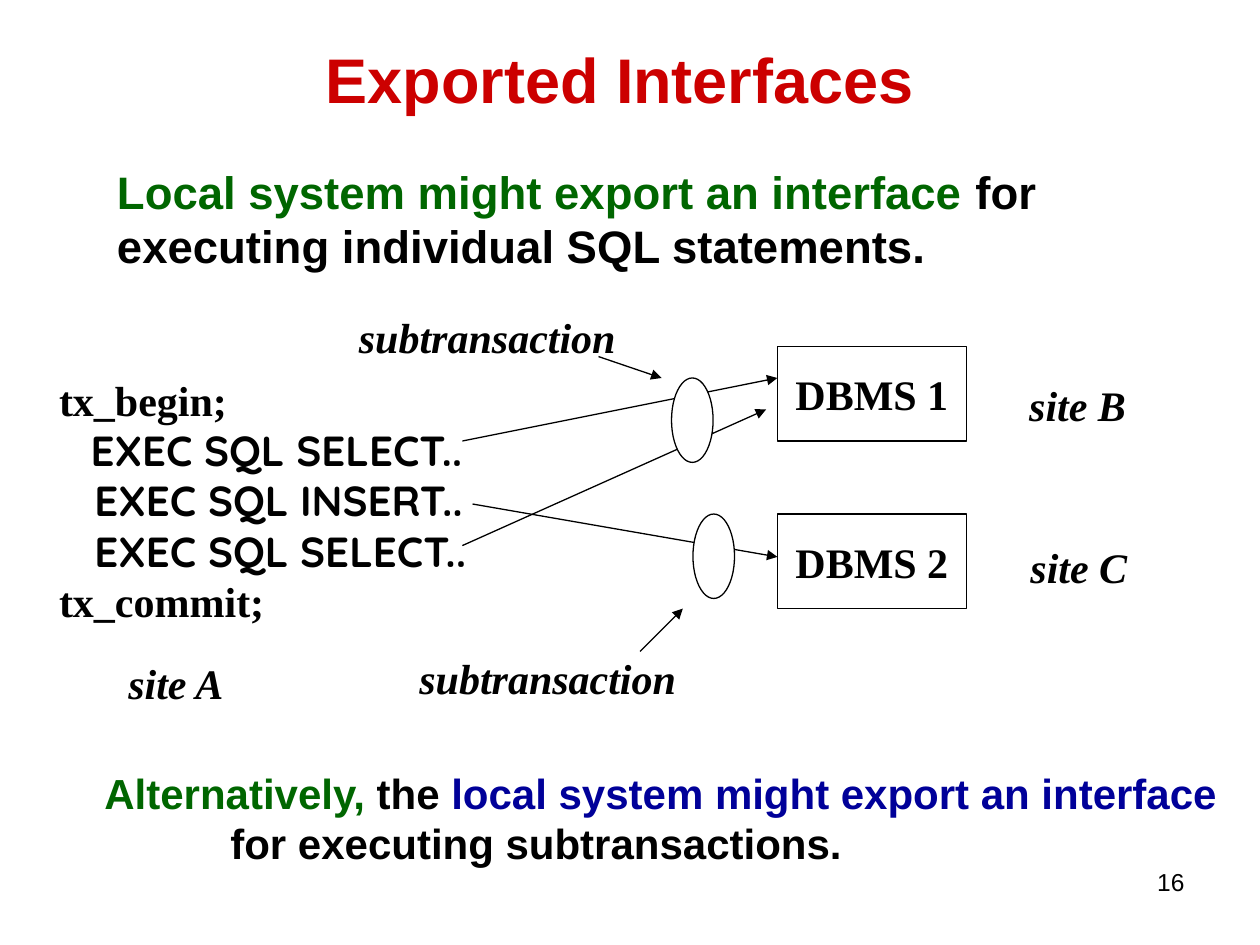
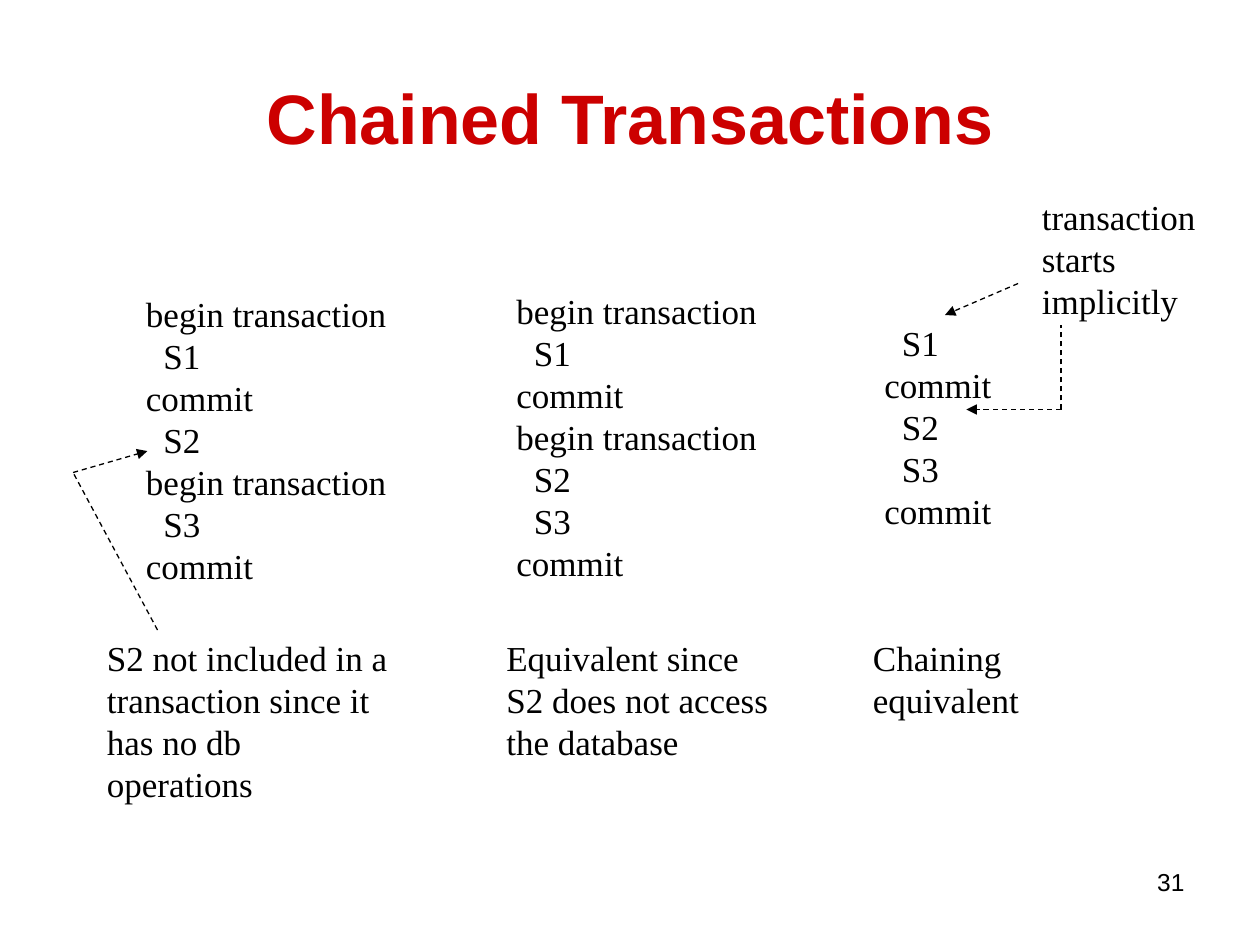
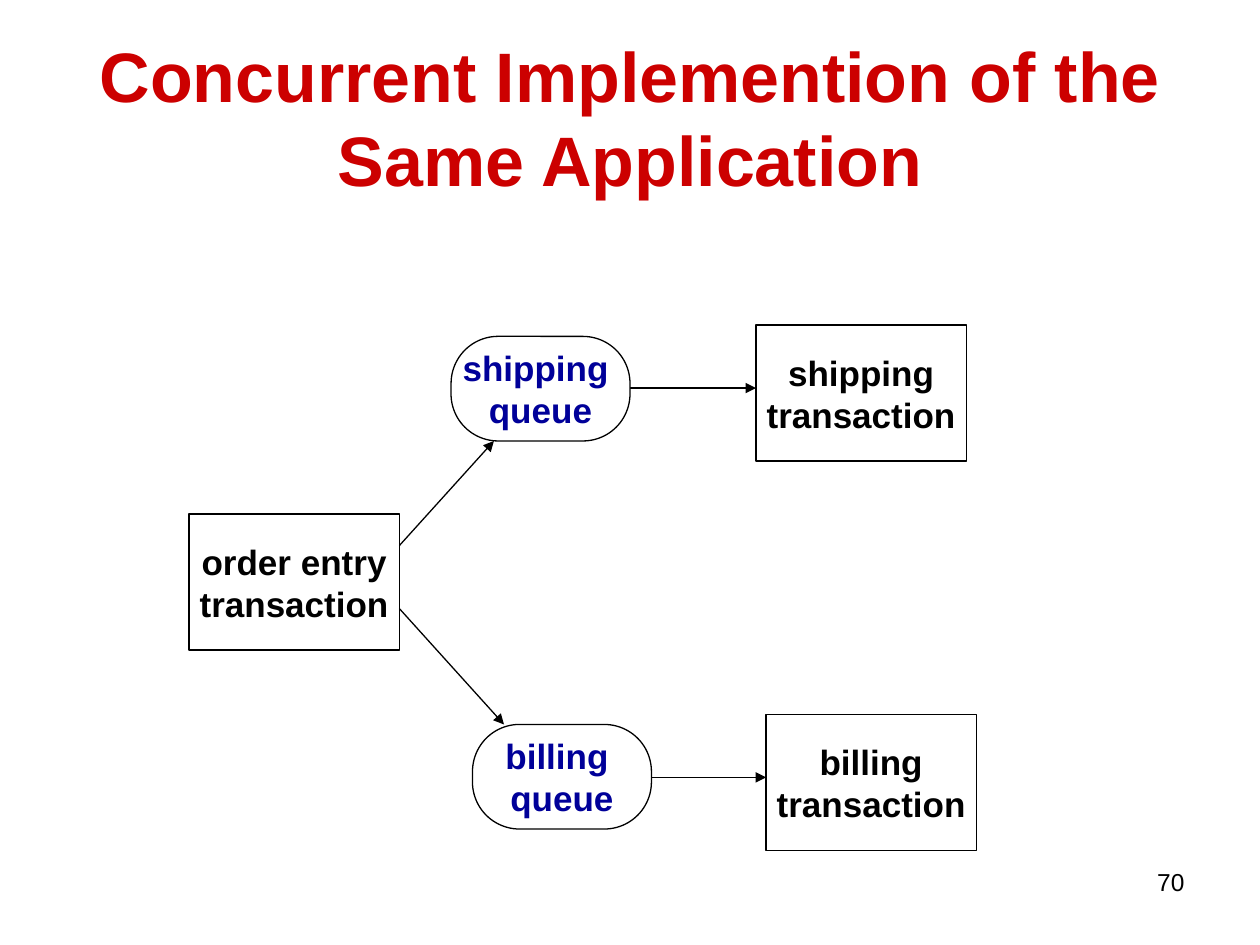
import pptx
import pptx.util
import pptx.dml.color
import pptx.enum.dml
import pptx.enum.shapes
import pptx.enum.text
import pptx.oxml.ns
import lxml.etree

Inches = pptx.util.Inches
Shape = pptx.enum.shapes.MSO_SHAPE
Align = pptx.enum.text.PP_ALIGN
Fit = pptx.enum.text.MSO_AUTO_SIZE
Anchor = pptx.enum.text.MSO_ANCHOR

COLORS = {
    "title": "CC0000",
    "text": "000000",
    "green": "006600",
    "blue": "000099",
    "fill": "FFFFFF",
}
SANS = "Arial"
SERIF = "Times New Roman"
ROUND = "Quicksand"
THIN = pptx.util.Pt(0.75)


def tint(name):
    return pptx.dml.color.RGBColor.from_string(COLORS[name])


def style(font, face, size, color="text", bold=False, slant=False):
    font.name = face
    font.size = pptx.util.Pt(size)
    font.bold = bold
    font.italic = slant
    font.color.rgb = tint(color)


def write(frame, lines, face, size, align=Align.LEFT, **look):
    for num, line in enumerate(lines):
        par = frame.paragraphs[0] if num == 0 else frame.add_paragraph()
        par.alignment = align
        style(par.font, face, size, **look)
        parts = [(line, {})] if isinstance(line, str) else line
        for words, change in parts:
            run = par.add_run()
            run.text = words
            if "color" in change:
                run.font.color.rgb = tint(change["color"])
            if "face" in change:
                run.font.name = change["face"]


def add_text(slide, place, lines, face=SERIF, size=20, wrap=False, **look):
    frame = slide.shapes.add_textbox(*map(Inches, place)).text_frame
    frame.word_wrap = wrap
    frame.auto_size = Fit.NONE if wrap else Fit.SHAPE_TO_FIT_TEXT
    write(frame, lines, face, size, **look)
    return frame


def add_slide(deck, title, page, place=(0.5, 0.3, 9, 1.25), size=40):
    slide = deck.slides.add_slide(deck.slide_layouts[5])
    head = slide.shapes.title
    head.left, head.top, head.width, head.height = map(Inches, place)
    frame = head.text_frame
    frame.auto_size = Fit.NONE
    frame.vertical_anchor = Anchor.MIDDLE
    write(frame, [title], SANS, size, Align.CENTER, color="title", bold=True)
    add_text(slide, (7.17, 6.83, 2.33, 0.52), [page], SANS, 14, wrap=True, align=Align.RIGHT)
    return slide


def add_node(slide, kind, place, lines=(), face=SANS, size=20, color="text"):
    node = slide.shapes.add_shape(kind, *map(Inches, place))
    node.shadow.inherit = False
    node.fill.solid()
    node.fill.fore_color.rgb = tint("fill")
    node.line.color.rgb = tint("text")
    node.line.width = THIN
    node.text_frame.word_wrap = False
    node.text_frame.vertical_anchor = Anchor.MIDDLE
    write(node.text_frame, lines, face, size, Align.CENTER, color=color, bold=True)
    return node


def add_line(slide, start, end, head=True, dash=False):
    line = slide.shapes.add_connector(
        pptx.enum.shapes.MSO_CONNECTOR.STRAIGHT, *map(Inches, start + end))
    line.line.color.rgb = tint("text")
    line.line.width = THIN
    if dash:
        line.line.dash_style = pptx.enum.dml.MSO_LINE.DASH
    name = pptx.oxml.ns.qn
    props = line._element.spPr
    if head:
        tail = lxml.etree.SubElement(props.find(name("a:ln")), name("a:tailEnd"))
        tail.set("type", "triangle")
    lxml.etree.SubElement(props, name("a:effectLst"))


def draw_export(deck):
    slide = add_slide(deck, "Exported Interfaces", "16", (0.67, 0, 8.5, 1.25), 36)
    code = {"face": ROUND}
    add_text(slide, (0.37, 2.92, 3.45, 2.1), [
        "tx_begin;",
        [("   ", {}), ("EXEC SQL SELECT..", code)],
        [("   EXEC SQL INSERT..", code)],
        [("   EXEC SQL SELECT..", code)],
        "tx_commit;",
    ], size=24, bold=True)
    for name, top in (("DBMS 1", 2.75), ("DBMS 2", 4.08)):
        add_node(slide, Shape.RECTANGLE, (6.17, top, 1.5, 0.75), [name], SERIF, 24)
    for start, end in (
        ((3.67, 3.5), (6.17, 3)),
        ((3.75, 4), (6.17, 4.42)),
        ((3.67, 4.33), (6.08, 3.25)),
        ((4.75, 2.83), (5.25, 3)),
        ((5.08, 5.17), (5.42, 4.83)),
    ):
        add_line(slide, start, end)
    for left, top in ((5.33, 3), (5.5, 4.08)):
        add_node(slide, Shape.OVAL, (left, top, 0.33, 0.67))
    for name, left, top, width in (
        ("site A", 0.92, 5.17, 0.97),
        ("site B", 8.07, 2.96, 0.97),
        ("site C", 8.08, 4.25, 0.97),
        ("subtransaction", 2.75, 2.42, 2.24),
        ("subtransaction", 3.23, 5.13, 2.24),
    ):
        add_text(slide, (left, top, width, 0.5), [name], size=24, bold=True, slant=True)
    add_text(slide, (0.83, 1.25, 8.08, 0.97), [[
        ("Local system might export an interface", {"color": "green"}),
        (" for executing individual SQL statements.", {}),
    ]], SANS, 26, wrap=True, bold=True)
    close = add_text(slide, (0.73, 6.04, 9.05, 0.9), [
        [("Alternatively,", {"color": "green"}), (" the ", {}),
         ("local system might export an interface", {"color": "blue"})],
        "for executing subtransactions.",
    ], SANS, 24, bold=True)
    close.paragraphs[1]._p.get_or_add_pPr().set("marL", str(Inches(1)))


def draw_chain(deck):
    slide = add_slide(deck, "Chained Transactions", "31")
    begin, commit = "begin transaction", "commit"
    one, two, three = ("  S1", "  S2", "  S3")
    for place, lines in (
        ((1.06, 2.27, 2.11, 2.44), [begin, one, commit, two, begin, three, commit]),
        ((4, 2.25, 2.11, 2.44), [begin, one, commit, begin, two, three, commit]),
        ((6.92, 2.5, 1.05, 2.1), [one, commit, two, three, commit]),
        ((0.75, 5, 2.49, 1.1),
         ["S2 not included in a", "transaction since it", "has no db operations"]),
        ((3.92, 5, 2.28, 1.1), ["Equivalent since", "S2 does not access", "the database"]),
        ((6.83, 5, 1.36, 0.77), ["Chaining", "equivalent"]),
        ((8.17, 1.5, 1.42, 1.1), ["transaction", "starts", "implicitly"]),
    ):
        add_text(slide, place, lines)
    for start, end, head in (
        ((1.25, 5), (0.58, 3.75), False),
        ((0.58, 3.75), (1.17, 3.58), True),
        ((8.08, 2.25), (7.5, 2.5), True),
        ((8.42, 3.25), (7.67, 3.25), True),
        ((8.42, 3.25), (8.42, 2.58), False),
    ):
        add_line(slide, start, end, head, dash=True)


def draw_queues(deck):
    slide = add_slide(deck, "Concurrent Implemention of the Same Application", "70")
    for name, left, top in (
        ("order entry", 1.5, 4.08),
        ("shipping", 6, 2.58),
        ("billing", 6.08, 5.67),
    ):
        add_node(slide, Shape.RECTANGLE, (left, top, 1.67, 1.08), [name, "transaction"])
    for start, end in (
        ((3.17, 4.33), (3.92, 3.5)),
        ((3.17, 4.83), (4, 5.75)),
        ((5, 3.08), (6, 3.08)),
        ((5.08, 6.17), (6.08, 6.17)),
    ):
        add_line(slide, start, end)
    for name, left, top in (("billing ", 3.75, 5.75), ("shipping ", 3.58, 2.67)):
        queue = add_node(slide, Shape.ROUNDED_RECTANGLE, (left, top, 1.42, 0.83),
                         [name, "queue"], color="blue")
        queue.adjustments[0] = 0.45


def main():
    deck = pptx.Presentation()
    deck.slide_width, deck.slide_height = Inches(10), Inches(7.5)
    draw_export(deck)
    draw_chain(deck)
    draw_queues(deck)
    deck.save("out.pptx")


if __name__ == "__main__":
    main()
